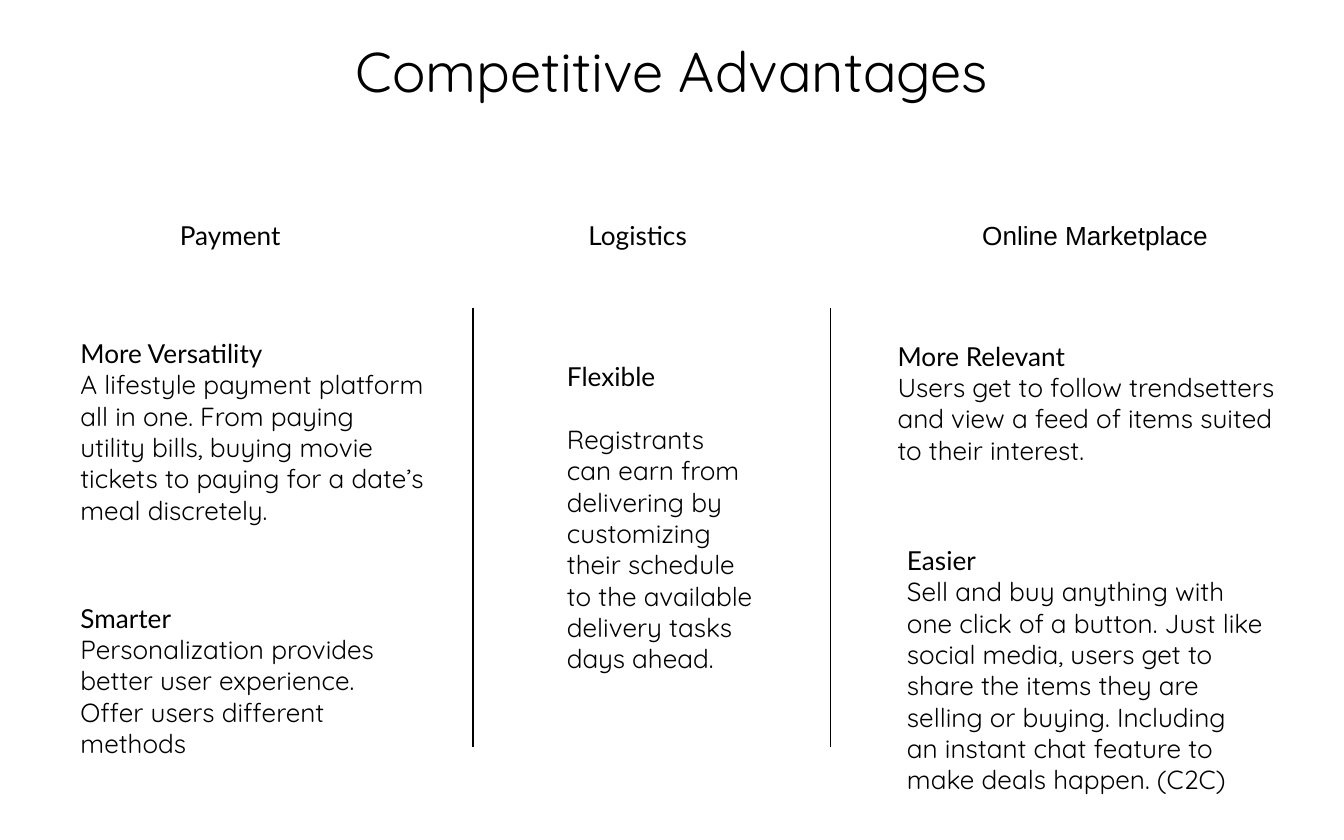
from dataclasses import dataclass

from lxml.etree import SubElement
from pptx import Presentation
from pptx.dml.color import RGBColor
from pptx.enum.shapes import MSO_CONNECTOR
from pptx.enum.text import MSO_ANCHOR, PP_ALIGN
from pptx.oxml.ns import qn
from pptx.util import Inches, Pt


@dataclass(frozen=True)
class Theme:
    ink: RGBColor = RGBColor(0, 0, 0)
    paper: RGBColor = RGBColor(255, 255, 255)
    title_size: Pt = Pt(30)
    text_size: Pt = Pt(14)
    rule_width: Pt = Pt(0.75)
    heading_font: str = "Lato"
    body_font: str = "Quicksand"
    market_font: str = "Arial"


THEME = Theme()
HEADING_TOP = 1.58
RULE_TOP, RULE_HEIGHT = 2.29, 3.27


def add_text(slide, box, lines, size=THEME.text_size):
    sp = slide.shapes.add_textbox(*map(Inches, box))
    tf = sp.text_frame
    tf.word_wrap = True
    for i, (text, font) in enumerate(lines):
        p = tf.paragraphs[0] if i == 0 else tf.add_paragraph()
        p.text = text
        r = p.runs[0]
        r.font.name = font
        r.font.size = size
        r.font.color.rgb = THEME.ink
    return tf


def add_title(slide, box, text):
    tf = add_text(slide, box, [(text, THEME.body_font)], THEME.title_size)
    tf.vertical_anchor = MSO_ANCHOR.MIDDLE
    tf.paragraphs[0].alignment = PP_ALIGN.CENTER


def add_feature(slide, box, name, detail, gap):
    lines = [(name, THEME.heading_font), (detail, THEME.body_font)]
    tf = add_text(slide, box, lines)
    tf.paragraphs[1].space_before = Pt(gap)


def add_column(slide, left, heading, features):
    text, font, offset, width = heading
    add_text(slide, (left + offset, HEADING_TOP, width, 0.34), [(text, font)])
    for (dx, top, w, h), name, detail, gap in features:
        add_feature(slide, (left + dx, top, w, h), name, detail, gap)


def add_rule(slide, x, top, height):
    line = slide.shapes.add_connector(
        MSO_CONNECTOR.STRAIGHT,
        Inches(x), Inches(top), Inches(x), Inches(top + height))
    line.line.color.rgb = THEME.ink
    line.line.width = THEME.rule_width
    SubElement(line._element.spPr, qn("a:effectLst"))


COLUMNS = [
    (0.5, ("Payment", THEME.heading_font, 0.74, 0.99), [
        ((0, 2.46, 2.76, 1.75), "More Versatility",
         "A lifestyle payment platform all in one. From paying utility bills, "
         "buying movie tickets to paying for a date’s meal discretely.", 0),
        ((0, 4.43, 2.48, 1.75), "Smarter",
         "Personalization provides better user experience. "
         "Offer users different methods", 0),
    ]),
    (4.12, ("Logistics", THEME.heading_font, 0.16, 0.97), [
        ((0, 2.63, 1.65, 2.69), "Flexible",
         "Registrants  can earn from delivering by customizing their schedule "
         "to the available delivery tasks days ahead.", 17),
    ]),
    (6.58, ("Online Marketplace", THEME.market_font, 0.63, 1.93), [
        ((0, 2.48, 3.04, 1.28), "More Relevant",
         "Users get to follow trendsetters and view a feed of items suited "
         "to their interest.", 0),
        ((0.07, 4, 2.85, 1.99), "Easier",
         "Sell and buy anything with one click of a button. Just like social "
         "media, users get to share the items they are selling or buying. "
         "Including an instant chat feature to make deals happen. (C2C)", 0),
    ]),
]

prs = Presentation()
prs.slide_width, prs.slide_height = Inches(10), Inches(6.25)
slide = prs.slides.add_slide(prs.slide_layouts[6])
slide.background.fill.solid()
slide.background.fill.fore_color.rgb = THEME.paper

add_title(slide, (0.5, 0, 9, 1.04), "Competitive Advantages")
for left, heading, features in COLUMNS:
    add_column(slide, left, heading, features)
for x in (3.52, 6.18):
    add_rule(slide, x, RULE_TOP, RULE_HEIGHT)

prs.save("out.pptx")
